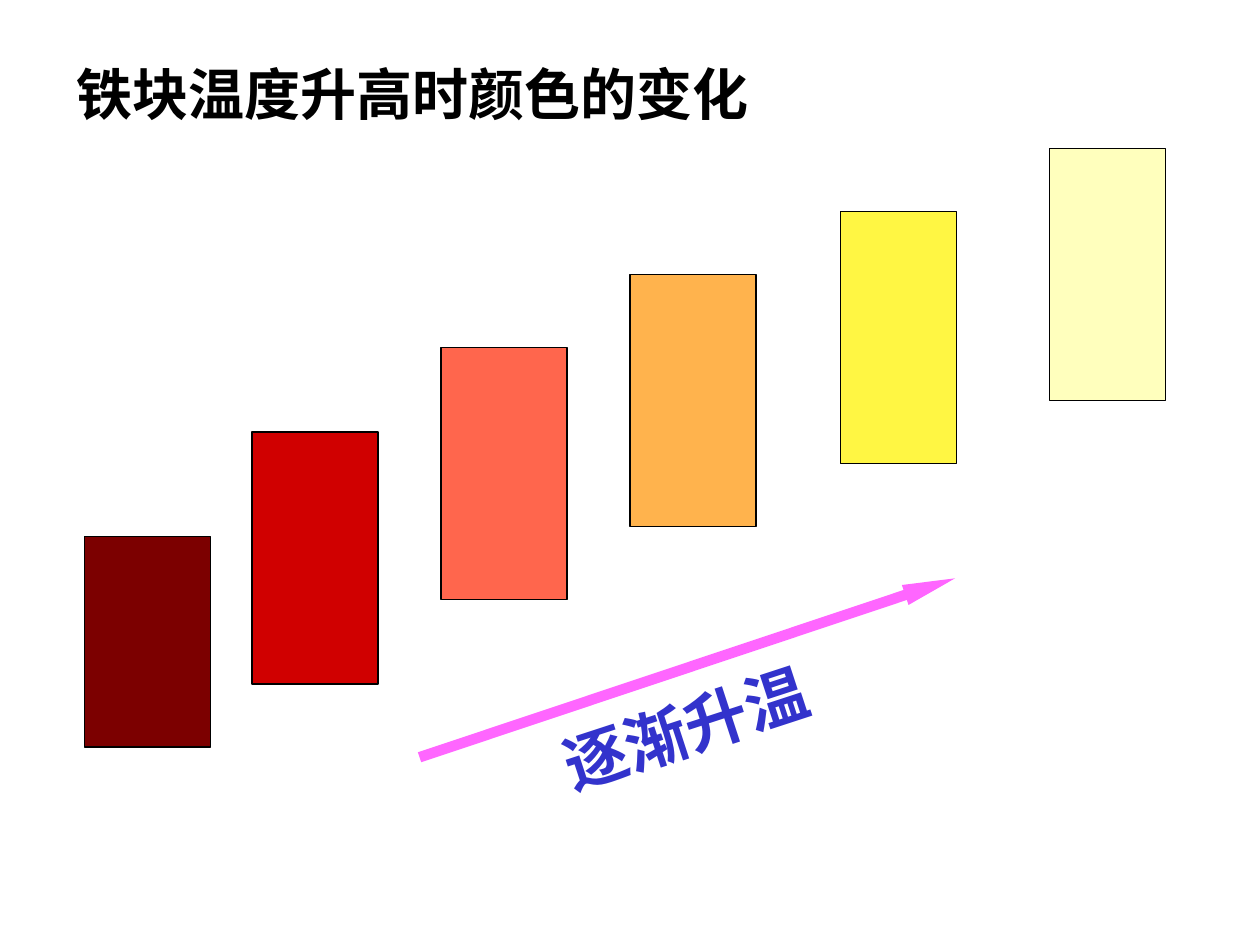
"""Build a slide showing how the colour of an iron block changes as it heats up."""
from dataclasses import dataclass

from lxml import etree
from pptx import Presentation
from pptx.dml.color import RGBColor
from pptx.enum.shapes import MSO_CONNECTOR, MSO_SHAPE
from pptx.enum.text import MSO_AUTO_SIZE
from pptx.oxml.ns import qn
from pptx.shapes.shapetree import GroupShapes, SlideShapes
from pptx.util import Inches, Pt

RECTANGLE = MSO_SHAPE.RECTANGLE
STRAIGHT = MSO_CONNECTOR.STRAIGHT
FIT_SHAPE = MSO_AUTO_SIZE.SHAPE_TO_FIT_TEXT


@dataclass(frozen=True)
class Theme:
    font: str = "Times New Roman"
    title_size: float = 32
    label_size: float = 36
    outline_width: float = 0.75
    arrow_width: float = 6
    text: str = "000000"
    label: str = "3333CC"
    arrow: str = "FF66FF"
    outline: str = "000000"


@dataclass(frozen=True)
class IronBlock:
    left: float
    top: float
    width: float
    height: float
    color: str


@dataclass(frozen=True)
class Caption:
    text: str
    left: float
    top: float
    width: float
    height: float
    size: float
    color: str
    wrap: bool = False
    rotation: float = 0


THEME = Theme()
BLOCKS = [
    IronBlock(0.67, 4.26, 1, 1.67, "7C0000"),
    IronBlock(2, 3.43, 1, 2, "D00000"),
    IronBlock(3.5, 2.76, 1, 2, "FF664D"),
    IronBlock(5, 2.18, 1, 2, "FFB34D"),
    IronBlock(6.67, 1.68, 0.92, 2, "FFF643"),
    IronBlock(8.33, 1.18, 0.92, 2, "FFFFBD"),
]
TITLE = Caption("铁块温度升高时颜色的变化", 0.51, 0.42, 5.54, 0.63,
                THEME.title_size, THEME.text)
HEATING_LABEL = Caption("逐渐升温", 4.33, 5.34, 2.75, 0.7,
                        THEME.label_size, THEME.label, wrap=True, rotation=341.9)
ARROW_START = (3.33, 6.01)
ARROW_END = (7.58, 4.59)


def add_caption(shapes: SlideShapes | GroupShapes, caption: Caption) -> None:
    text_box = shapes.add_textbox(Inches(caption.left), Inches(caption.top),
                                  Inches(caption.width), Inches(caption.height))
    text_box.rotation = caption.rotation
    text_frame = text_box.text_frame
    text_frame.word_wrap = caption.wrap
    text_frame.auto_size = FIT_SHAPE
    text_frame.text = caption.text
    font = text_frame.paragraphs[0].runs[0].font
    font.name = THEME.font
    font.size = Pt(caption.size)
    font.bold = True
    font.color.rgb = RGBColor.from_string(caption.color)


def add_block(shapes: SlideShapes, block: IronBlock) -> None:
    shape = shapes.add_shape(RECTANGLE, Inches(block.left), Inches(block.top),
                             Inches(block.width), Inches(block.height))
    shape.shadow.inherit = False
    shape.fill.solid()
    shape.fill.fore_color.rgb = RGBColor.from_string(block.color)
    shape.line.color.rgb = RGBColor.from_string(THEME.outline)
    shape.line.width = Pt(THEME.outline_width)


def add_arrow(shapes: GroupShapes, start: tuple[float, float],
              end: tuple[float, float]) -> None:
    arrow = shapes.add_connector(STRAIGHT, Inches(start[0]), Inches(start[1]),
                                 Inches(end[0]), Inches(end[1]))
    arrow.line.color.rgb = RGBColor.from_string(THEME.arrow)
    arrow.line.width = Pt(THEME.arrow_width)
    properties = arrow.element.spPr
    etree.SubElement(properties.find(qn("a:ln")), qn("a:tailEnd"),
                     type="triangle", w="sm", len="lg")
    etree.SubElement(properties, qn("a:effectLst"))


def main() -> None:
    presentation = Presentation()
    presentation.slide_width = Inches(10)
    presentation.slide_height = Inches(7.5)
    slide = presentation.slides.add_slide(presentation.slide_layouts[6])
    add_caption(slide.shapes, TITLE)
    for block in BLOCKS:
        add_block(slide.shapes, block)
    heating_group = slide.shapes.add_group_shape()
    add_arrow(heating_group.shapes, ARROW_START, ARROW_END)
    add_caption(heating_group.shapes, HEATING_LABEL)
    presentation.save("out.pptx")


if __name__ == "__main__":
    main()
